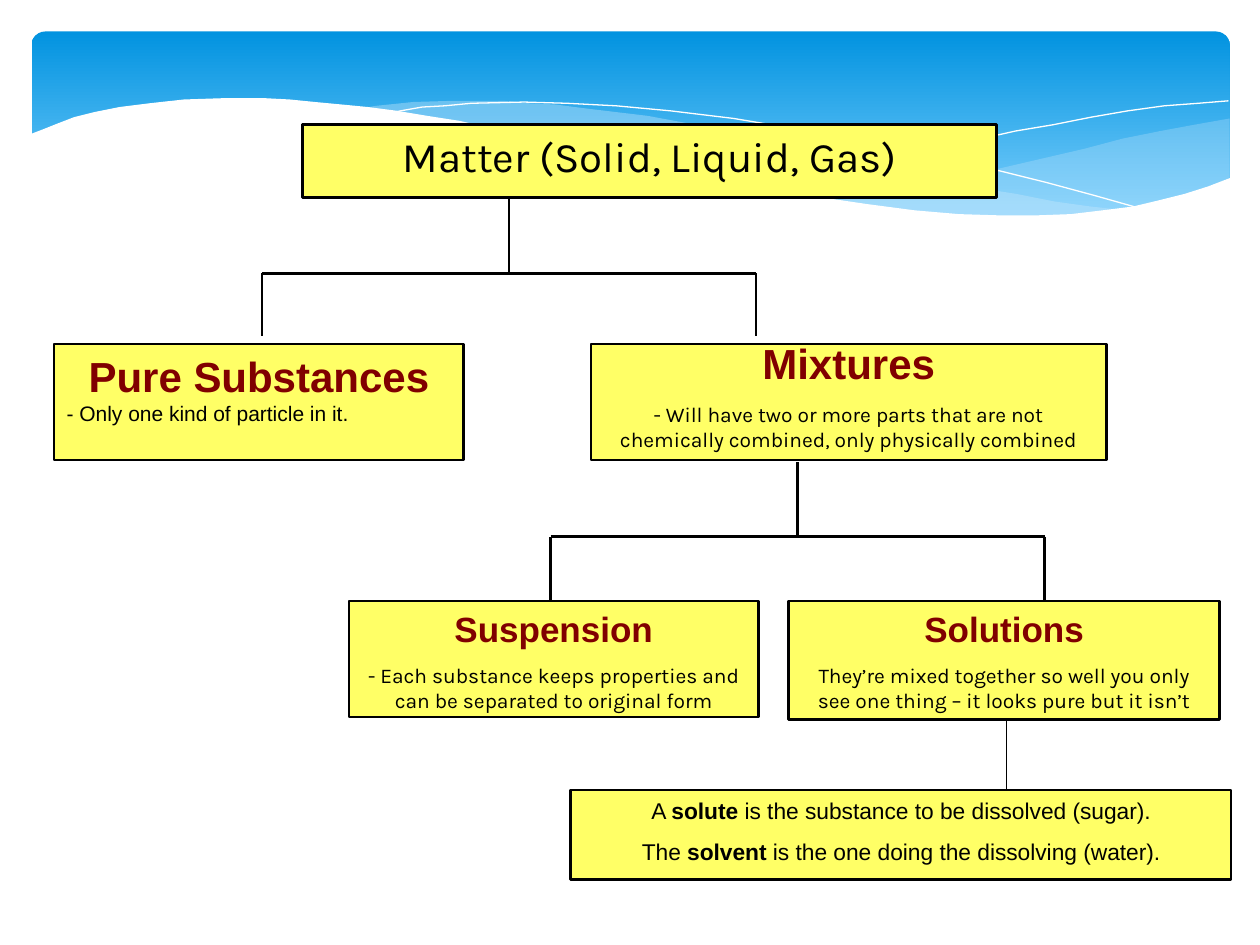
from lxml import etree
from pptx import Presentation
from pptx.dml.color import RGBColor
from pptx.enum.shapes import MSO_CONNECTOR, MSO_SHAPE
from pptx.enum.text import MSO_ANCHOR, PP_ALIGN
from pptx.oxml.ns import qn
from pptx.util import Inches, Pt

LEFT, CENTER = PP_ALIGN.LEFT, PP_ALIGN.CENTER
TOP = MSO_ANCHOR.TOP
RECTANGLE, ROUNDED = MSO_SHAPE.RECTANGLE, MSO_SHAPE.ROUNDED_RECTANGLE
STRAIGHT = MSO_CONNECTOR.STRAIGHT

BLACK = RGBColor(0x00, 0x00, 0x00)
WHITE = RGBColor(0xFF, 0xFF, 0xFF)
YELLOW = RGBColor(0xFF, 0xFF, 0x66)
MAROON = RGBColor(0x80, 0x00, 0x00)
SKY_TOP = RGBColor(0x02, 0x93, 0xE0)
SKY_BOTTOM = RGBColor(0x83, 0xD3, 0xFE)
PALE_BLUE = RGBColor(0xC6, 0xE7, 0xFC)

# Wave outlines, in inches from the corner of the banner's frame
RIGHT_WAVE = [
    (9.76, 0.94), (9.48, 0.99), (9.21, 1.04), (8.91, 1.1), (8.61, 1.18), (8.05, 1.31),
    (7.53, 1.43), (7.06, 1.52), (6.61, 1.6), (6.91, 1.64), (7.18, 1.67), (7.45, 1.69),
    (7.69, 1.71), (7.92, 1.72), (8.24, 1.72), (8.54, 1.7), (8.81, 1.67), (9.05, 1.63),
    (9.28, 1.58), (9.49, 1.52), (9.63, 1.47), (9.76, 1.41)]
MIDDLE_WAVE = [
    (8.93, 1.67), (8.66, 1.64), (8.37, 1.6), (8.07, 1.54), (7.75, 1.49), (7.41, 1.42),
    (7.06, 1.34), (6.68, 1.26), (6.29, 1.16), (5.98, 1.09), (5.69, 1.02), (5.41, 0.97),
    (5.14, 0.92), (4.89, 0.89), (4.64, 0.86), (4.41, 0.83), (4.2, 0.82), (3.99, 0.8),
    (3.61, 0.8), (3.28, 0.81), (2.99, 0.84), (2.86, 0.86), (3.23, 0.9), (3.62, 0.97),
    (4.04, 1.06), (4.49, 1.16), (4.91, 1.26), (5.3, 1.35), (5.66, 1.43), (6.01, 1.5),
    (6.34, 1.56), (6.65, 1.61), (6.95, 1.65), (7.22, 1.68), (7.48, 1.7), (7.73, 1.72),
    (7.96, 1.73), (8.28, 1.73), (8.57, 1.71), (8.76, 1.69)]
FALLING_LINE = [
    (3.09, 0.9), (3.18, 0.88), (3.35, 0.85), (3.53, 0.84), (3.74, 0.82), (4.16, 0.81),
    (4.5, 0.82), (4.89, 0.84), (5.32, 0.88), (5.82, 0.94), (6.36, 1.03), (6.95, 1.14),
    (7.27, 1.2), (7.6, 1.28), (7.95, 1.36), (8.31, 1.45), (8.68, 1.55), (9.07, 1.66)]
RISING_LINE = [
    (6.13, 1.51), (6.52, 1.41), (6.95, 1.3), (7.48, 1.17), (8.06, 1.04), (8.36, 0.99),
    (8.66, 0.93), (8.95, 0.88), (9.24, 0.84), (9.51, 0.82), (9.75, 0.8)]
WHITE_WAVE = [
    (9.77, 1.41), (9.59, 1.48), (9.4, 1.54), (9.2, 1.59), (8.99, 1.64), (8.75, 1.67),
    (8.5, 1.7), (8.23, 1.71), (7.93, 1.71), (7.61, 1.7), (7.26, 1.67), (6.88, 1.62),
    (6.47, 1.56), (6.03, 1.49), (5.55, 1.39), (5.03, 1.28), (4.47, 1.14), (4.18, 1.07),
    (3.91, 1.02), (3.65, 0.96), (3.39, 0.92), (3.15, 0.88), (2.92, 0.85), (2.71, 0.83),
    (2.5, 0.81), (2.3, 0.79), (2.11, 0.78), (1.76, 0.78), (1.46, 0.79), (1.19, 0.82),
    (0.95, 0.85), (0.75, 0.89), (0.59, 0.93), (0.46, 0.98), (0.36, 1.02), (0.23, 1.07),
    (0.23, 2.24), (9.77, 2.24)]


def add_wave(slide, left, top, points, color, opacity=100, is_line=False):
    """Draw a filled wave, or an open hairline."""
    corners = [(Inches(left + x), Inches(top + y)) for x, y in points]
    builder = slide.shapes.build_freeform(*corners[0])
    builder.add_line_segments(corners[1:], close=not is_line)
    shape = builder.convert_to_shape()
    shape.shadow.inherit = False
    if is_line:
        shape.fill.background()
        shape.line.color.rgb = color
        shape.line.width = Pt(0)
        return
    shape.fill.solid()
    shape.fill.fore_color.rgb = color
    shape.line.fill.background()
    if opacity < 100:
        color_element = shape._element.spPr.find(qn("a:solidFill"))[0]
        etree.SubElement(color_element, qn("a:alpha"), val=str(opacity * 1000))


def add_banner(slide, left, top):
    """Blue gradient band with waves across its lower edge."""
    band = slide.shapes.add_shape(
        ROUNDED, Inches(left + 0.25), Inches(top + 0.25), Inches(9.51), Inches(1.56))
    band.adjustments[0] = 0.07
    band.shadow.inherit = False
    band.line.fill.background()
    band.fill.gradient()
    band.fill.gradient_angle = 270
    for stop, position, color in zip(band.fill.gradient_stops, (0, 1), (SKY_TOP, SKY_BOTTOM)):
        stop.position = position
        stop.color.rgb = color
    add_wave(slide, left, top, RIGHT_WAVE, PALE_BLUE, opacity=29)
    add_wave(slide, left, top, MIDDLE_WAVE, PALE_BLUE, opacity=40)
    add_wave(slide, left, top, FALLING_LINE, WHITE, is_line=True)
    add_wave(slide, left, top, RISING_LINE, WHITE, is_line=True)
    add_wave(slide, left, top, WHITE_WAVE, WHITE)


def add_card(slide, left, top, width, height, paragraphs, margin=0, text_shift=0):
    """Yellow box under a text box; a paragraph is (runs, size, font, color, align, space)."""
    card = slide.shapes.add_shape(
        RECTANGLE, Inches(left), Inches(top), Inches(width), Inches(height))
    card.shadow.inherit = False
    card.fill.solid()
    card.fill.fore_color.rgb = YELLOW
    card.line.color.rgb = BLACK
    card.line.width = Pt(1.5)

    text_box = slide.shapes.add_textbox(
        Inches(left + margin), Inches(top + text_shift),
        Inches(width - 2 * margin), Inches(height))
    frame = text_box.text_frame
    frame.word_wrap = True
    frame.vertical_anchor = TOP
    for index, (runs, size, font, color, align, space) in enumerate(paragraphs):
        paragraph = frame.paragraphs[0] if index == 0 else frame.add_paragraph()
        paragraph.alignment = align
        if index:
            paragraph.space_before = Pt(space)
        paragraph.font.size = Pt(size)
        paragraph.font.name = font
        paragraph.font.color.rgb = color
        for text, bold in runs:
            run = paragraph.add_run()
            run.text = text
            run.font.bold = bold


def heading(text, size):
    return [(text, True)], size, "Arial", MAROON, CENTER, 0


def detail(text, font="Karla", align=CENTER, space=7.5):
    return [(text, False)], 12, font, BLACK, align, space


def definition(before, term, after):
    return [(before, False), (term, True), (after, False)], 13, "Arial", BLACK, CENTER, 8.1


def add_line(slide, x1, y1, x2, y2, width=1.5):
    line = slide.shapes.add_connector(
        STRAIGHT, Inches(x1), Inches(y1), Inches(x2), Inches(y2))
    line.line.color.rgb = BLACK
    line.line.width = Pt(width)
    etree.SubElement(line._element.spPr, qn("a:effectLst"))


def add_fork(slide, left, top, width=3.92, stem=0.59, drop=0.5):
    """A stem that splits into two branches."""
    middle, right, bar = left + width / 2, left + width, top + stem
    add_line(slide, middle, top, middle, bar)
    for x in (left, right):
        add_line(slide, x, bar, x, bar + drop)
    add_line(slide, left, bar, right, bar)


def main():
    presentation = Presentation()
    presentation.slide_width, presentation.slide_height = Inches(10), Inches(7.5)
    slide = presentation.slides.add_slide(presentation.slide_layouts[6])

    add_banner(slide, 0, 0)

    # Matter and its two kinds
    add_card(slide, 2.4, 0.99, 5.51, 0.58, [
        ([("Matter (Solid, Liquid, Gas)", False)], 24, "Karla", BLACK, CENTER, 0)])
    add_fork(slide, 2.08, 1.58)
    add_card(slide, 0.43, 2.73, 3.25, 0.92, [
        heading("Pure Substances", 24),
        detail("- Only one kind of particle in it.", "Arial", LEFT, 0)])
    add_card(slide, 4.69, 2.73, 4.09, 0.92, [
        heading("Mixtures", 24),
        detail("- Will have two or more parts that are not chemically combined, "
               "only physically combined")], text_shift=-0.1)

    # Kinds of mixture
    add_fork(slide, 4.37, 3.67)
    add_card(slide, 2.77, 4.77, 3.25, 0.92, [
        heading("Suspension", 20),
        detail("- Each substance keeps properties and can be separated to original form")])
    add_card(slide, 6.26, 4.77, 3.42, 0.94, [
        heading("Solutions", 20),
        detail("They’re mixed together so well you only see one thing – "
               "it looks pure but it isn’t")], margin=0.09)

    # Parts of a solution
    add_card(slide, 4.53, 6.27, 5.24, 0.71, [
        definition("A ", "solute", " is the substance to be dissolved (sugar)."),
        definition("The ", "solvent", " is the one doing the dissolving (water).")],
        margin=0.13)
    add_line(slide, 7.99, 5.72, 7.99, 6.27, width=0.75)

    presentation.save("out.pptx")


if __name__ == "__main__":
    main()
